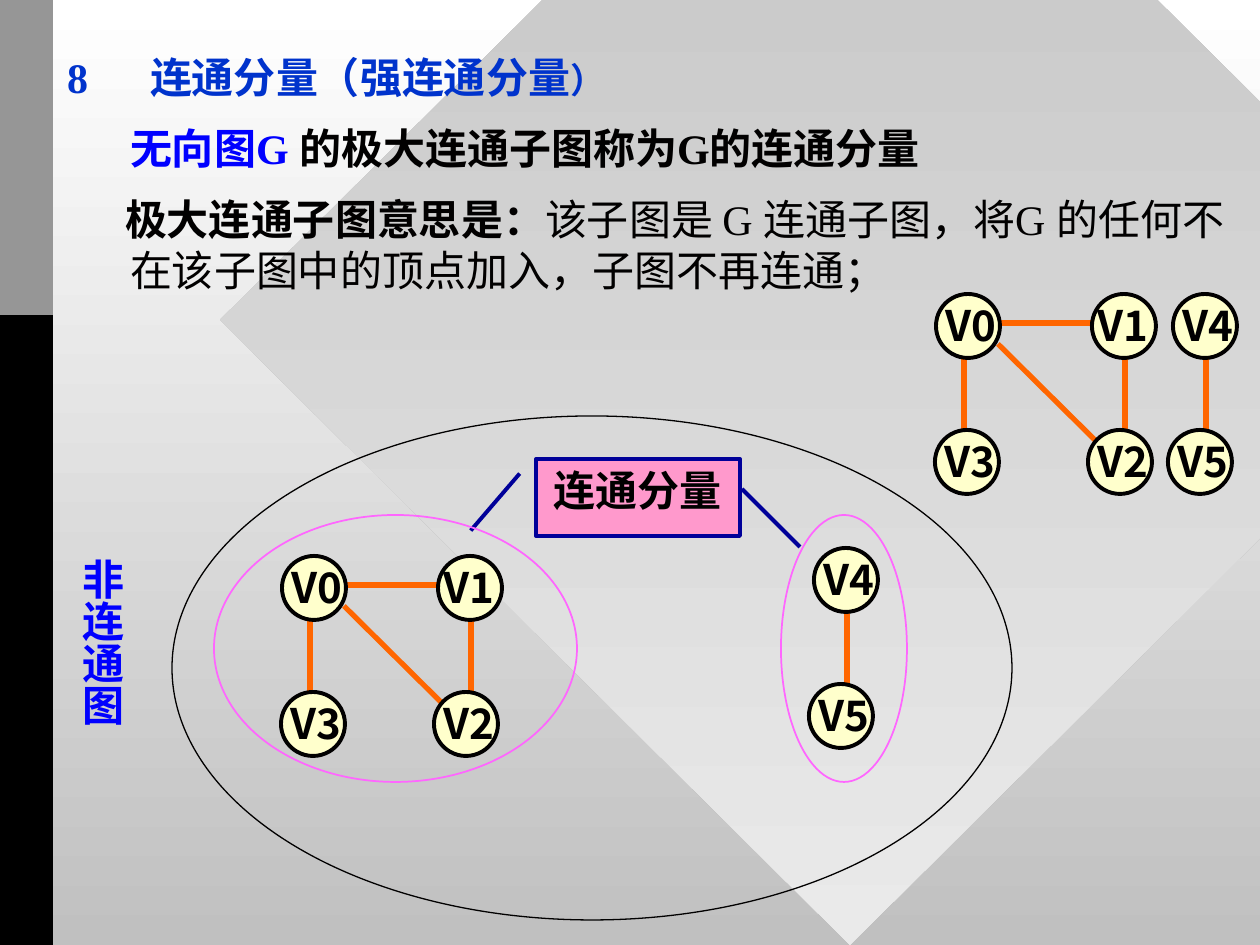
from dataclasses import dataclass

from lxml import etree
from pptx import Presentation
from pptx import util as u
from pptx.dml.color import RGBColor
from pptx.enum import shapes, text
from pptx.oxml.ns import qn

PX = 914400 / 126
COLORS = {
    "white": "FFFFFF", "silver": "C0C0C0", "pale": "EAEAEA", "black": "000000",
    "gray": "969696", "ink": "010000", "title": "0033CC", "blue": "0000FF",
    "pink": "FF99CC", "navy": "000099", "magenta": "FF66FF",
    "orange": "FF6600", "cream": "FFFFCC",
}
SERIF, SANS = "Times New Roman", "Noto Sans CJK SC"
OVAL = shapes.MSO_SHAPE.OVAL


@dataclass(frozen=True)
class Run:
    words: str
    color: str = "ink"
    size: int = 24
    bold: bool = True
    font: str = SERIF


@dataclass(frozen=True)
class Line:
    runs: tuple[Run, ...]
    margin: int = 0
    indent: int = 0
    before: int = 0


@dataclass(frozen=True)
class Node:
    name: str
    x: int
    y: int
    label_dx: int = -6


@dataclass(frozen=True)
class Graph:
    nodes: tuple[Node, ...]
    edges: tuple[tuple[int, int, int, int], ...]


TRIANGLE = Graph(
    (Node("V0", 0, 0), Node("V2", 152, 136), Node("V3", -1, 136),
     Node("V1", 156, 0, -10)),
    ((62, 50, 165, 152), (28, 63, 28, 142), (63, 29, 162, 29), (189, 63, 189, 142)),
)
PAIR = Graph((Node("V5", -5, 136), Node("V4", 0, 0)), ((33, 57, 33, 138),))


def px(*lengths: int) -> list[u.Emu]:
    return [u.Emu(round(length * PX)) for length in lengths]


def rgb(color: str) -> RGBColor:
    return RGBColor.from_string(COLORS[color])


def fade(fill, start: str, end: str) -> None:
    fill.gradient()
    fill.gradient_angle = 270
    for stop, color, position in zip(fill.gradient_stops, (start, end), (0, 1)):
        stop.color.rgb = rgb(color)
        stop.position = position


def add_shape(parent, kind, box, fill=None, line=None, weight=1.0):
    shape = parent.add_shape(kind, *px(*box))
    shape.shadow.inherit = False
    if fill:
        shape.fill.solid()
        shape.fill.fore_color.rgb = rgb(fill)
    else:
        shape.fill.background()
    if line:
        shape.line.color.rgb = rgb(line)
        shape.line.width = u.Pt(weight)
    else:
        shape.line.fill.background()
    return shape


def add_line(parent, ends, color: str, weight: float) -> None:
    line = parent.add_connector(shapes.MSO_CONNECTOR.STRAIGHT, *px(*ends))
    line.line.color.rgb = rgb(color)
    line.line.width = u.Pt(weight)
    etree.SubElement(line._element.spPr, qn("a:effectLst"))


def write(frame, lines: tuple[Line, ...], insets=(13, 6, 13, 6),
          align=text.PP_ALIGN.LEFT, wrap: bool = True) -> None:
    frame.word_wrap = wrap
    frame.vertical_anchor = text.MSO_ANCHOR.TOP
    (frame.margin_left, frame.margin_top,
     frame.margin_right, frame.margin_bottom) = px(*insets)
    for index, line in enumerate(lines):
        paragraph = frame.paragraphs[0] if index == 0 else frame.add_paragraph()
        paragraph.alignment = align
        paragraph.space_before = u.Pt(line.before)
        margin, indent = px(line.margin, line.indent)
        properties = paragraph._p.get_or_add_pPr()
        properties.set("marL", str(margin))
        properties.set("indent", str(indent))
        for part in line.runs:
            run = paragraph.add_run()
            run.text = part.words
            run.font.name = part.font
            run.font.size = u.Pt(part.size)
            run.font.bold = part.bold
            run.font.color.rgb = rgb(part.color)


def draw_graph(parent, graph: Graph, x: int, y: int) -> None:
    group = parent.add_group_shape().shapes
    for x1, y1, x2, y2 in graph.edges:
        add_line(group, (x + x1, y + y1, x + x2, y + y2), "orange", 3)
    for node in graph.nodes:
        left, top = x + node.x, y + node.y
        add_shape(group, OVAL, (left, top, 64, 64), "cream", "ink", 2.25)
        label = group.add_textbox(*px(left + node.label_dx, top, 89, 63))
        write(label.text_frame, (Line((Run(node.name, font=SANS),)),),
              insets=(16, 6, 6, 6))


def main() -> None:
    deck = Presentation()
    deck.slide_width, deck.slide_height = px(1260, 945)
    slide = deck.slides.add_slide(deck.slide_layouts[6])
    canvas = slide.shapes

    fade(slide.background.fill, "white", "silver")
    diamond = add_shape(canvas, shapes.MSO_SHAPE.DIAMOND, (220, -305, 1260, 1250))
    fade(diamond.fill, "silver", "pale")
    for color, height in (("black", 945), ("gray", 315)):
        add_shape(canvas, shapes.MSO_SHAPE.RECTANGLE, (0, 0, 53, height), color)

    definition = canvas.add_textbox(*px(54, 45, 1206, 257))
    write(definition.text_frame, (
        Line((Run("8\t连通分量（强连通分量", "title"), Run("）", "title", 20)), 83, -83),
        Line((Run("无向图G ", "blue"), Run("的极大连通子图称为G的连通分量")), 63, 0, 12),
        Line((Run("极大连通子图意思是："),
              Run("该子图是 G 连通子图，将G 的任何不在该子图中的顶点加入，子图不再连通；",
                  bold=False)), 63, -5, 12),
    ))

    callout = add_shape(canvas, shapes.MSO_SHAPE.LINE_CALLOUT_1,
                        (536, 459, 204, 77), "pink", "navy", 2.25)
    for index, value in enumerate((0.19, -0.08, 0.93, -0.32)):
        callout.adjustments[index] = value
    write(callout.text_frame, (Line((Run("连通分量"),)),), align=text.PP_ALIGN.CENTER)
    add_line(canvas, (742, 489, 800, 547), "navy", 2.25)

    caption = canvas.add_textbox(*px(57, 534, 76, 221))
    write(caption.text_frame, (Line((Run("非连通图", "blue"),)),), insets=(6, 25, 6, 13))
    caption.text_frame._txBody.bodyPr.set("vert", "eaVert")

    for component in ((214, 515, 363, 267), (781, 515, 126, 267)):
        add_shape(canvas, OVAL, component, line="magenta")
    draw_graph(canvas, TRIANGLE, 282, 556)
    draw_graph(canvas, PAIR, 814, 548)
    add_shape(canvas, OVAL, (172, 416, 840, 504), line="ink", weight=0.75)
    draw_graph(canvas, TRIANGLE, 936, 294)
    draw_graph(canvas, PAIR, 1173, 294)

    deck.save("out.pptx")


if __name__ == "__main__":
    main()
